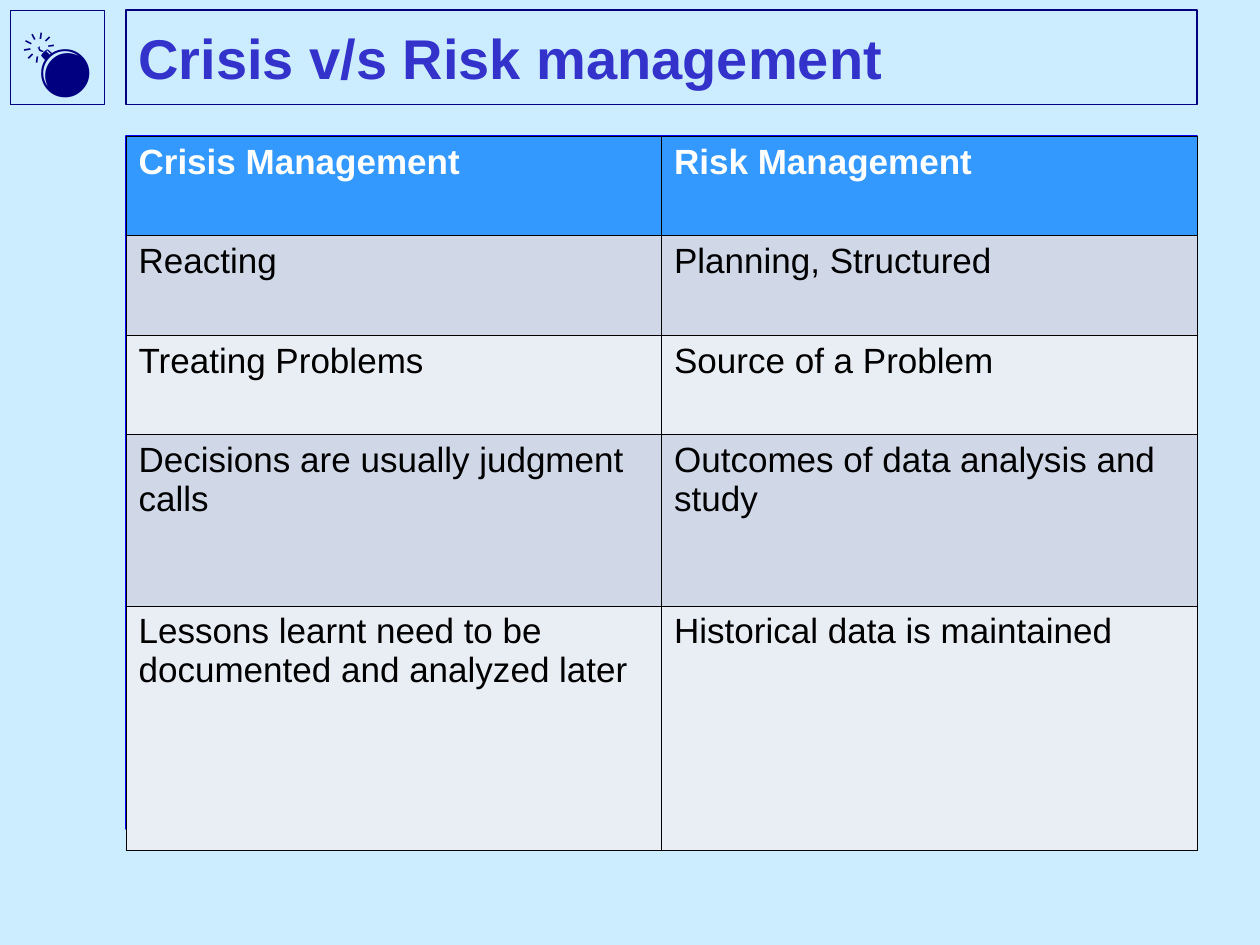
from dataclasses import dataclass

from lxml.etree import SubElement
from pptx import Presentation
from pptx.dml.color import RGBColor
from pptx.enum.shapes import MSO_SHAPE
from pptx.enum.text import MSO_ANCHOR, PP_ALIGN
from pptx.oxml.ns import qn
from pptx.util import Inches, Pt

NAVY, BLACK, WHITE = "000080", "000000", "FFFFFF"
HEADER_FILL, BAND_FILLS = "3399FF", ("D0D8E8", "E9EDF4")
LEFT, WIDTH, TABLE_TOP = 1, 8.5, 1.08


@dataclass(frozen=True)
class Frame:
    left: float
    top: float
    width: float
    height: float
    color: str
    weight: float


@dataclass(frozen=True)
class Style:
    size: float
    color: str
    bold: bool = False
    font: str = "Arial"


@dataclass(frozen=True)
class Row:
    crisis: str
    risk: str
    height: float


FRAMES = [
    Frame(0.08, 0.08, 0.75, 0.75, NAVY, 0.25),
    Frame(LEFT, 0.08, WIDTH, 0.75, NAVY, 0.75),
    Frame(LEFT, TABLE_TOP, WIDTH, 5.5, "0000FF", 0.75),
]

ROWS = [
    Row("Crisis Management", "Risk Management", 0.79),
    Row("Reacting", "Planning, Structured", 0.79),
    Row("Treating Problems", "Source of a Problem", 0.79),
    Row("Decisions are usually judgment calls", "Outcomes of data analysis and study", 1.36),
    Row("Lessons learnt need to be documented and analyzed later", "Historical data is maintained", 1.94),
]


def rgb(color: str) -> RGBColor:
    return RGBColor.from_string(color)


def add_run(tf, text: str, style: Style) -> None:
    r = tf.paragraphs[0].add_run()
    r.text = text
    r.font.name = style.font
    r.font.size = Pt(style.size)
    r.font.bold = style.bold
    r.font.color.rgb = rgb(style.color)


def add_frame(s, frame: Frame) -> None:
    sp = s.shapes.add_shape(
        MSO_SHAPE.RECTANGLE,
        Inches(frame.left), Inches(frame.top), Inches(frame.width), Inches(frame.height),
    )
    sp.shadow.inherit = False
    sp.fill.background()
    sp.line.color.rgb = rgb(frame.color)
    sp.line.width = Pt(frame.weight)


def add_label(s, text: str, left: float, top: float, width: float, style: Style):
    sp = s.shapes.add_textbox(Inches(left), Inches(top), Inches(width), Inches(0.75))
    tf = sp.text_frame
    tf.word_wrap = True
    tf.vertical_anchor = MSO_ANCHOR.MIDDLE
    add_run(tf, text, style)
    return tf


def add_symbol(s, text: str, left: float, top: float, width: float, style: Style) -> None:
    """Centre one wide glyph on a single unwrapped line, so that it is never split."""
    tf = add_label(s, text, left, top, width, style)
    tf.word_wrap = False
    tf.margin_left = tf.margin_right = 0
    tf.paragraphs[0].alignment = PP_ALIGN.CENTER


def add_borders(cell, color: str, weight: float) -> None:
    tc_pr = cell._tc.get_or_add_tcPr()
    for side in ("lnL", "lnR", "lnT", "lnB"):
        ln = SubElement(tc_pr, qn(f"a:{side}"), w=str(Pt(weight)))
        fill = SubElement(ln, qn("a:solidFill"))
        SubElement(fill, qn("a:srgbClr"), val=color)


def add_comparison(s, rows: list[Row]) -> None:
    height = sum(row.height for row in rows)
    table = s.shapes.add_table(
        len(rows), 2, Inches(LEFT), Inches(TABLE_TOP), Inches(WIDTH), Inches(height)
    ).table
    for i, row in enumerate(rows):
        table.rows[i].height = Inches(row.height)
        is_header = i == 0
        style = Style(20, WHITE if is_header else BLACK, is_header)
        for j, text in enumerate((row.crisis, row.risk)):
            cell = table.cell(i, j)
            add_borders(cell, BLACK, 0.45)
            cell.fill.solid()
            cell.fill.fore_color.rgb = rgb(HEADER_FILL if is_header else BAND_FILLS[(i - 1) % 2])
            add_run(cell.text_frame, text, style)


def main() -> None:
    prs = Presentation()
    prs.slide_width, prs.slide_height = Inches(10), Inches(7.5)
    s = prs.slides.add_slide(prs.slide_layouts[6])
    s.background.fill.solid()
    s.background.fill.fore_color.rgb = rgb("CCECFF")

    add_symbol(s, "💣", 0.08, 0.08, 0.75, Style(40, NAVY, True, "Calibri"))
    for frame in FRAMES:
        add_frame(s, frame)
    add_label(s, "Crisis v/s Risk management", LEFT, 0.08, WIDTH, Style(32, "3333CC", True))
    add_comparison(s, ROWS)
    prs.save("out.pptx")


if __name__ == "__main__":
    main()
